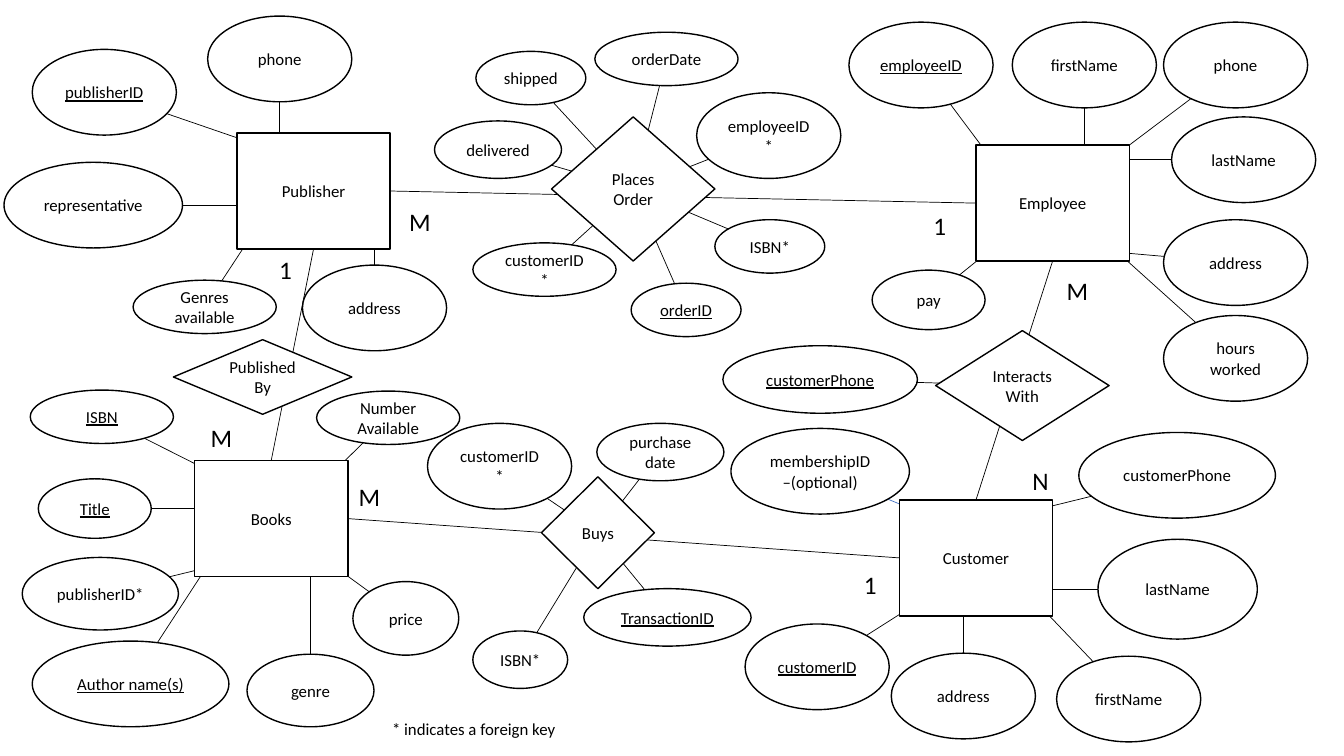
"""Build a bookshop entity-relationship diagram on one slide."""
import math

from lxml import etree
from pptx import Presentation
from pptx import util as u
from pptx.dml.color import RGBColor
from pptx.enum import shapes, text
from pptx.oxml.ns import qn

COLORS = {"ink": "000000", "paper": "FFFFFF", "accent": "4472C4"}
KEY = True
ENTITY = (1.52, 1.15)
OVAL = (1.43, 0.85)
WIDE = (1.77, 0.85)
LONG = (1.95, 0.85)
FLAT = (1.42, 0.53)
SMALL = (1.09, 0.53)
MEDIUM = (1.26, 0.57)
SHORT = (1.12, 0.59)

ENTITIES = {
    "Publisher": (2.35, 1.32),
    "Employee": (9.68, 1.44),
    "Books": (1.93, 4.57),
    "Customer": (8.92, 4.96),
}

RELATIONSHIPS = {
    "Places Order": (5.47, 1.16, 1.62, 1.43),
    "Published By": (1.72, 3.37, 1.77, 0.74),
    "Interacts With": (9.28, 3.28, 1.72, 1.09),
    "Buys": (5.37, 4.73, 1.12, 1.11),
}

TOP, LEFT, BOTTOM, RIGHT = range(4)
ROUTES = [
    ("Publisher", RIGHT, "Employee", LEFT),
    ("Publisher", BOTTOM, "Books", TOP),
    ("Employee", BOTTOM, "Customer", TOP),
    ("Books", RIGHT, "Customer", LEFT),
]

ATTRIBUTES = {
    "Publisher": [
        ("publisherID", 0.32, 0.49, OVAL, KEY),
        ("phone", 2.06, 0.16, OVAL),
        ("representative", 0.04, 1.61, WIDE),
        ("Genres available", 1.32, 2.78, FLAT),
        ("address", 3, 2.63, OVAL),
    ],
    "Employee": [
        ("employeeID", 8.42, 0.22, OVAL, KEY),
        ("firstName", 10.04, 0.22, OVAL),
        ("phone", 11.54, 0.22, OVAL),
        ("lastName", 11.62, 1.16, OVAL),
        ("address", 11.54, 2.18, OVAL),
        ("hours worked", 11.54, 3.13, OVAL),
        ("pay", 8.65, 2.68, SHORT),
    ],
    "Books": [
        ("ISBN", 0.3, 3.87, FLAT, KEY),
        ("Title", 0.38, 4.75, SHORT, KEY),
        ("publisherID*", 0.22, 5.53, (1.55, 0.72)),
        ("Author name(s)", 0.32, 6.36, LONG, KEY),
        ("genre", 2.45, 6.49, (1.26, 0.72)),
        ("price", 3.5, 5.77, (1.05, 0.73)),
        ("Number Available", 3.14, 3.88, FLAT),
    ],
    "Customer": [
        ("customerID", 7.39, 6.19, OVAL, KEY),
        ("address", 8.84, 6.48, OVAL),
        ("firstName", 10.48, 6.51, OVAL),
        ("lastName", 10.89, 5.35, (1.58, 0.99)),
        ("customerPhone", 10.7, 4.29, LONG),
        ("membershipID –(optional)", 7.25, 4.25, WIDE, False, "accent"),
    ],
    "Places Order": [
        ("shipped", 4.72, 0.51, SMALL),
        ("orderDate", 5.9, 0.32, FLAT),
        ("delivered", 4.31, 1.2, MEDIUM),
        ("employeeID*", 6.91, 0.92, OVAL),
        ("ISBN*", 7.09, 2.18, SMALL),
        ("orderID", 6.26, 2.81, SMALL, KEY),
        ("customerID*", 4.69, 2.41, FLAT),
    ],
    "Interacts With": [("customerPhone", 7.17, 3.43, (1.93, 0.67), KEY)],
    "Buys": [
        ("customerID*", 4.24, 4.2, OVAL),
        ("purchase date", 5.92, 4.2, MEDIUM),
        ("TransactionID", 5.79, 5.84, (1.66, 0.57), KEY),
        ("ISBN*", 4.69, 6.26, (0.94, 0.57)),
    ],
}

CARDINALITIES = [
    ("M", 3.96, 2), ("1", 9.16, 2.04), ("1", 2.67, 2.47), ("M", 1.99, 4.14),
    ("M", 10.48, 2.68), ("N", 10.14, 4.57), ("M", 3.46, 4.73), ("1", 8.47, 5.6),
]


def cm(*inches):
    return [u.Cm(n * 2.54) for n in inches]


def rgb(name):
    return RGBColor.from_string(COLORS[name])


def center(box):
    x, y, w, h = box
    return x + w / 2, y + h / 2


def owner_end(owner, oval):
    (cx, cy), (ox, oy) = center(owner), center(oval)
    dx, dy, rx, ry = ox - cx, oy - cy, owner[2] / 2, owner[3] / 2
    if owner[2:] == ENTITY:
        near_x, near_y = rx * 0.85, ry * 0.85
        return (cx + max(-near_x, min(near_x, dx)),
                cy + max(-near_y, min(near_y, dy)))
    reach = abs(dx) / rx + abs(dy) / ry
    return cx + dx / reach, cy + dy / reach


def oval_end(oval, target):
    cx, cy = center(oval)
    dx, dy = target[0] - cx, target[1] - cy
    reach = math.hypot(dx / oval[2] * 2, dy / oval[3] * 2)
    return cx + dx / reach, cy + dy / reach


def write(tf, words, size=12, color="ink", font="Calibri", underline=None,
          align=text.PP_ALIGN.LEFT):
    p = tf.paragraphs[0]
    p.alignment = align
    r = p.add_run()
    r.text = words
    r.font.size = u.Pt(size)
    r.font.name = font
    r.font.color.rgb = rgb(color)
    r.font.underline = underline


class Diagram:
    def __init__(self, slide):
        self.shapes = slide.shapes
        self.outline = u.Pt(1)
        self.hairline = u.Pt(0.5)

    def node(self, kind, words, box, key=False):
        sp = self.shapes.add_shape(kind, *cm(*box))
        sp.shadow.inherit = False
        sp.fill.solid()
        sp.fill.fore_color.rgb = rgb("paper")
        sp.line.color.rgb = rgb("ink")
        sp.line.width = self.outline
        tf = sp.text_frame
        tf.word_wrap = True
        tf.vertical_anchor = text.MSO_ANCHOR.MIDDLE
        write(tf, words, underline=key or None, align=text.PP_ALIGN.CENTER)
        return sp

    def link(self, start, end, color="ink"):
        line = self.shapes.add_connector(
            shapes.MSO_CONNECTOR.STRAIGHT, *cm(*start, *end))
        line.line.color.rgb = rgb(color)
        line.line.width = self.hairline
        etree.SubElement(line._element.spPr, qn("a:effectLst"))
        return line

    def label(self, words, box, wrap=True, **style):
        tf = self.shapes.add_textbox(*cm(*box)).text_frame
        tf.word_wrap = wrap
        tf.auto_size = text.MSO_AUTO_SIZE.SHAPE_TO_FIT_TEXT
        write(tf, words, **style)


prs = Presentation()
prs.slide_width, prs.slide_height = cm(13.33, 7.5)
diagram = Diagram(prs.slides.add_slide(prs.slide_layouts[6]))
kinds = shapes.MSO_SHAPE
boxes = {name: corner + ENTITY for name, corner in ENTITIES.items()}
owners = {**boxes, **RELATIONSHIPS}

for owner, attributes in ATTRIBUTES.items():
    for name, x, y, size, *style in attributes:
        oval = (x, y, *size)
        end = owner_end(owners[owner], oval)
        diagram.link(oval_end(oval, end), end, *style[1:])
        diagram.node(kinds.OVAL, name, oval, *style[:1])
nodes = {name: diagram.node(kinds.RECTANGLE, name, box)
         for name, box in boxes.items()}
for first, first_side, second, second_side in ROUTES:
    line = diagram.link(center(boxes[first]), center(boxes[second]))
    line.begin_connect(nodes[first], first_side)
    line.end_connect(nodes[second], second_side)
for name, box in RELATIONSHIPS.items():
    diagram.node(kinds.DIAMOND, name, box)
for mark, x, y in CARDINALITIES:
    diagram.label(mark, (x, y, 0.34, 0.4), size=18)
diagram.label("* indicates a foreign key", (3.79, 7.08, 1.84, 0.3), wrap=False)

prs.save("out.pptx")
